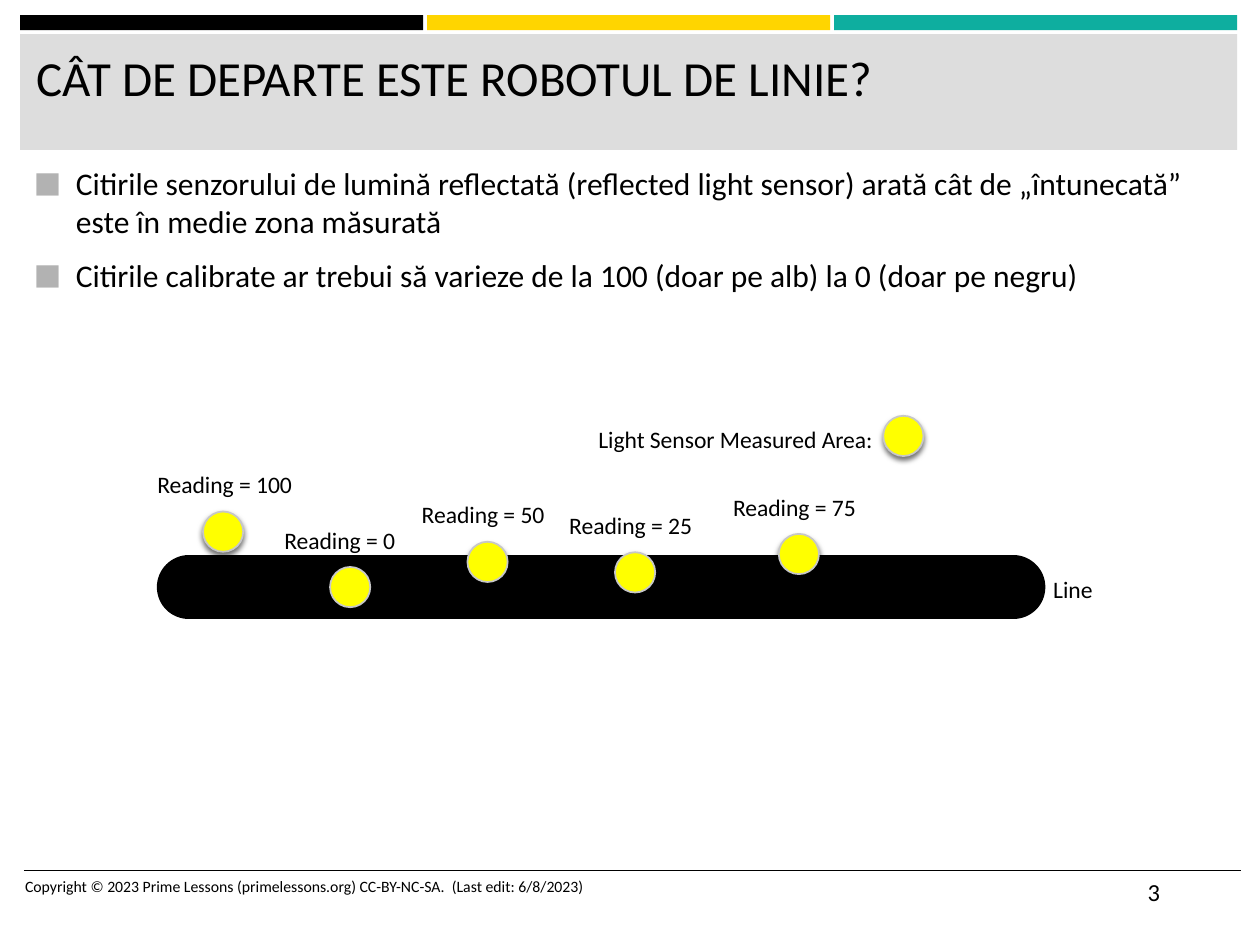
from collections import namedtuple
from dataclasses import dataclass

from lxml.etree import SubElement
from pptx import Presentation
from pptx.dml.color import RGBColor
from pptx.enum.shapes import MSO_CONNECTOR, MSO_SHAPE
from pptx.enum.text import MSO_ANCHOR, MSO_AUTO_SIZE, PP_ALIGN
from pptx.oxml.ns import qn
from pptx.util import Pt

Box = namedtuple("Box", "left top width height")


@dataclass(frozen=True)
class Theme:
    font: str = "Calibri"
    black: str = "000000"
    yellow: str = "FFD500"
    teal: str = "0EAE9F"
    band: str = "DDDDDD"
    bullet: str = "B2B2B2"
    spot: str = "FFFF00"
    spot_edge: str = "C7C7C7"
    title_size: float = 28
    body_size: float = 18
    label_size: float = 13.5
    footer_size: float = 9
    number_size: float = 14


THEME = Theme()
SPOT_SIZE = 23
LABEL_HEIGHT = 23.8


def color(name):
    return RGBColor.from_string(name)


def points(*lengths):
    return [Pt(length) for length in lengths]


def format_font(paragraph, size):
    font = paragraph.font
    font.name, font.size = THEME.font, Pt(size)
    font.color.rgb = color(THEME.black)


def place_placeholder(shape, box):
    shape.left, shape.top, shape.width, shape.height = points(*box)
    frame = shape.text_frame
    frame.auto_size = MSO_AUTO_SIZE.NONE
    frame.vertical_anchor = MSO_ANCHOR.TOP
    return frame


def add_text(slide, box, text, size, wrap=True):
    frame = slide.shapes.add_textbox(*points(*box)).text_frame
    frame.word_wrap = wrap
    if not wrap:
        frame.auto_size = MSO_AUTO_SIZE.SHAPE_TO_FIT_TEXT
    frame.text = text
    format_font(frame.paragraphs[0], size)


def add_bar(slide, box, fill):
    bar = slide.shapes.add_shape(MSO_SHAPE.RECTANGLE, *points(*box))
    bar.shadow.inherit = False
    bar.fill.solid()
    bar.fill.fore_color.rgb = color(fill)
    bar.line.fill.background()


def add_line(slide, left, right, y, width, cap="flat"):
    line = slide.shapes.add_connector(
        MSO_CONNECTOR.STRAIGHT, *points(left, y, right, y))
    line.line.color.rgb = color(THEME.black)
    line.line.width = Pt(width)
    properties = line._element.spPr
    properties.find(qn("a:ln")).set("cap", cap)
    SubElement(properties, qn("a:effectLst"))


def add_spot(slide, left, top):
    """Draw one sensor area with a soft shadow below it."""
    spot = slide.shapes.add_shape(
        MSO_SHAPE.OVAL, *points(left, top, SPOT_SIZE, SPOT_SIZE))
    spot.fill.solid()
    spot.fill.fore_color.rgb = color(THEME.spot)
    spot.line.color.rgb = color(THEME.spot_edge)
    spot.line.width = Pt(1)
    effects = SubElement(spot._element.spPr, qn("a:effectLst"))
    shadow = SubElement(effects, qn("a:outerShdw"), blurRad=str(Pt(3)),
                        dist=str(Pt(2)), dir="5400000", rotWithShape="0")
    shade = SubElement(shadow, qn("a:srgbClr"), val=THEME.black)
    SubElement(shade, qn("a:alpha"), val="55000")


def add_bullet(paragraph):
    properties = paragraph._p.get_or_add_pPr()
    properties.set("marL", str(Pt(24)))
    properties.set("indent", str(Pt(-24)))
    bullet_color = SubElement(properties, qn("a:buClr"))
    SubElement(bullet_color, qn("a:srgbClr"), val=THEME.bullet)
    SubElement(properties, qn("a:buSzPct"), val="92000")
    SubElement(properties, qn("a:buFont"), typeface=THEME.font)
    SubElement(properties, qn("a:buChar"), char="■")


def add_header(slide, box, title):
    gap, bar_height, band_top = 2.3, 8.6, 10.9
    bar_width = (box.width - 2 * gap) / 3
    for index, fill in enumerate((THEME.black, THEME.yellow, THEME.teal)):
        left = box.left + index * (bar_width + gap)
        add_bar(slide, Box(left, box.top, bar_width, bar_height), fill)
    band = Box(box.left, box.top + band_top, box.width, box.height - band_top)
    add_bar(slide, band, THEME.band)

    # Drawn after the band, so the title moves to the front.
    shape = slide.shapes.title
    slide.shapes._spTree.append(shape._element)
    frame = place_placeholder(
        shape, Box(band.left + 2.2, band.top + 4, band.width - 6.5, 59))
    frame.text = title
    paragraph = frame.paragraphs[0]
    paragraph.alignment = PP_ALIGN.LEFT
    format_font(paragraph, THEME.title_size)


def add_body(slide, box, items):
    frame = place_placeholder(slide.placeholders[1], box)
    frame.text = "\n".join(items)
    for index, paragraph in enumerate(frame.paragraphs):
        add_bullet(paragraph)
        paragraph.space_before = Pt(3.6 if index else 0)
        paragraph.space_after = Pt(6)
        format_font(paragraph, THEME.body_size)


def add_diagram(slide, box, readings):
    """Draw the black line, the legend and the sensor readings on the line."""
    add_line(slide, box.left + 18, box.left + 489, box.top + 98, 36.75, "rnd")

    def add_label(x, y, width, text):
        label = Box(box.left + x, box.top + y, width, LABEL_HEIGHT)
        add_text(slide, label, text, THEME.label_size, wrap=False)

    add_spot(slide, box.left + 414.7, box.top)
    add_label(244.8, 1.5, 173.5, "Light Sensor Measured Area:")
    add_label(504.7, 87.3, 37.4, "Line")
    for reading, x, y, width in readings:
        add_spot(slide, box.left + x, box.top + y)
        add_label(x - 33.2, y - 27.2, width, f"Reading = {reading}")


def add_footer(slide, box, copyright_line, number):
    add_line(slide, box.left, box.left + box.width, box.top, 1)
    add_text(slide, Box(box.left - 6.5, box.top, 384, box.height),
             copyright_line, THEME.footer_size)
    number_width = 60.5
    add_text(slide, Box(box.left + box.width - number_width, box.top,
                        number_width, box.height), number, THEME.number_size)


def main():
    presentation = Presentation()
    presentation.slide_width, presentation.slide_height = points(720, 540)
    slide = presentation.slides.add_slide(presentation.slide_layouts[1])

    add_header(slide, Box(11.5, 8.7, 695.5, 77),
               "CÂT DE DEPARTE ESTE ROBOTUL DE LINIE?")
    add_body(slide, Box(12.2, 90, 695.5, 400), [
        "Citirile senzorului de lumină reflectată (reflected light sensor) "
        "arată cât de „întunecată” este în medie zona măsurată",
        "Citirile calibrate ar trebui să varieze de la 100 (doar pe alb) "
        "la 0 (doar pe negru)",
    ])
    add_footer(slide, Box(13.7, 497.5, 695.5, 28.8),
               "Copyright © 2023 Prime Lessons (primelessons.org) "
               "CC-BY-NC-SA.  (Last edit: 6/8/2023)", "3")
    add_diagram(slide, Box(90, 237.6, 542, 117), [
        (100, 26, 54.7, 92.9),
        (0, 98.6, 86.4, 79.2),
        (50, 177.1, 72, 85.7),
        (25, 261.4, 78, 85.7),
        (75, 355, 67.5, 85.7),
    ])
    presentation.save("out.pptx")


if __name__ == "__main__":
    main()
